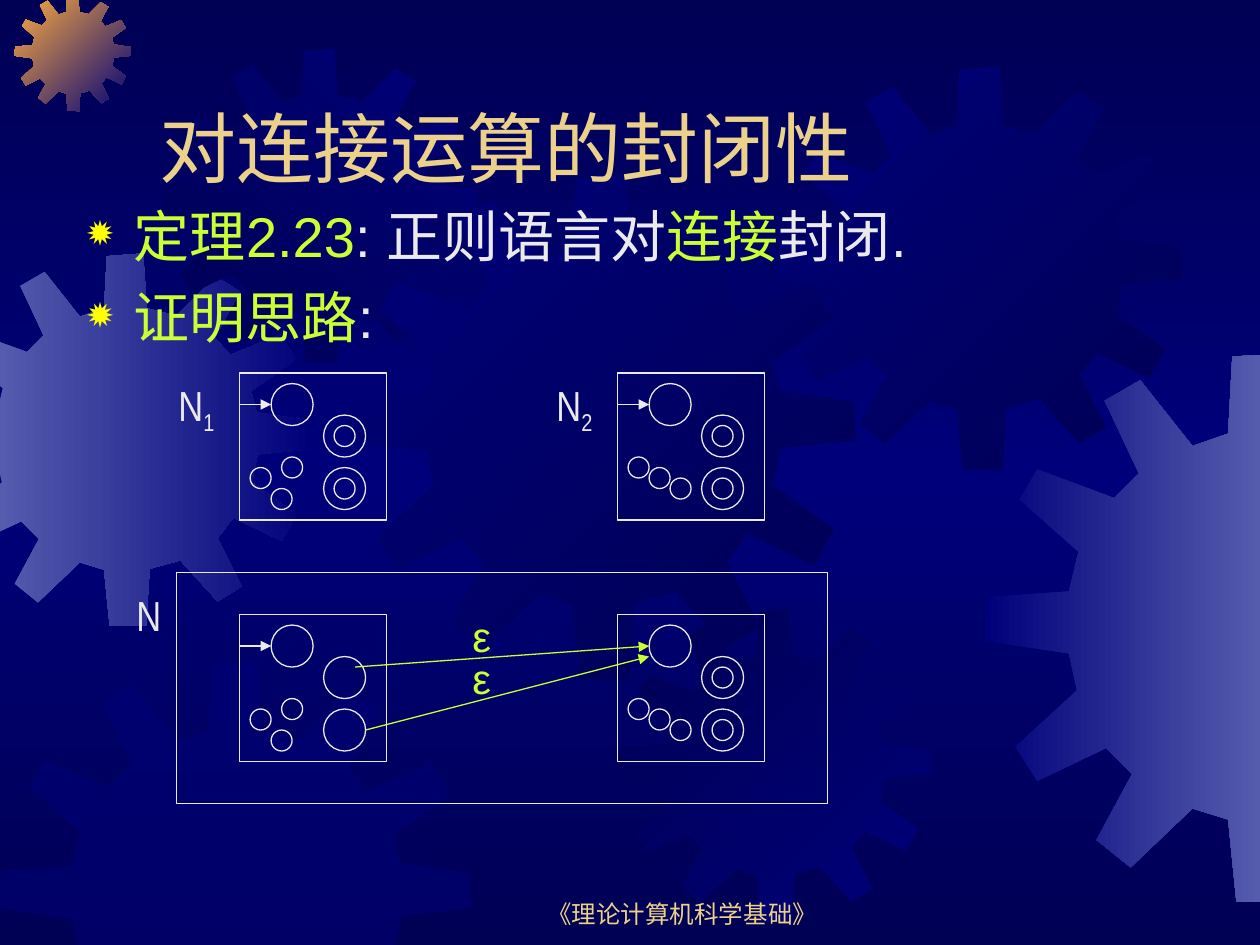
import pptx
import pptx.dml.color
import pptx.enum.shapes
import pptx.enum.text
import pptx.oxml
import pptx.oxml.ns
import pptx.util
import copy
import lxml.etree

Cm = pptx.util.Cm
Pt = pptx.util.Pt
RGBColor = pptx.dml.color.RGBColor
SHAPE = pptx.enum.shapes.MSO_SHAPE
ANCHOR = pptx.enum.text.MSO_ANCHOR
ALIGN = pptx.enum.text.PP_ALIGN
qn = pptx.oxml.ns.qn

NAVY = RGBColor(0x00, 0x00, 0x54)
BLUE = RGBColor(0x00, 0x00, 0x7A)
STEEL = RGBColor(0x55, 0x5B, 0xAD)
ORANGE = RGBColor(0xFC, 0xAB, 0x40)
GOLD = RGBColor(0xEB, 0xD1, 0x89)
LIME = RGBColor(0xCC, 0xFF, 0x33)
PALE = RGBColor(0xEA, 0xEA, 0xEA)

WIDTH, HEIGHT = 25.4, 19.05
GRID = 2.54 / 12
ORIGIN_X, ORIGIN_Y = 4.83, 7.52

GEAR_SIZE = 401
GEAR = [
    (255, 67), (223, 59), (219, 0), (180, 3), (177, 59), (151, 68), (113, 20), (87, 35),
    (112, 88), (94, 106), (38, 85), (25, 107), (68, 145), (61, 174), (1, 178), (0, 210),
    (61, 219), (67, 246), (22, 287), (38, 312), (88, 288), (107, 307), (81, 355), (106, 375),
    (151, 332), (177, 340), (183, 400), (222, 401), (226, 339), (259, 330), (299, 374), (325, 358),
    (299, 306), (316, 284), (368, 309), (384, 281), (336, 246), (342, 216), (401, 210), (400, 180),
    (341, 171), (335, 148), (383, 114), (367, 87), (313, 109), (296, 91), (323, 41), (297, 25),
]


def clip(points, axis, limit, sign):
    kept = []
    for a, b in zip(points, points[1:] + points[:1]):
        da, db = sign * (limit - a[axis]), sign * (limit - b[axis])
        if da >= 0:
            kept.append(a)
        if da * db < 0:
            t = da / (da - db)
            kept.append((a[0] + t * (b[0] - a[0]), a[1] + t * (b[1] - a[1])))
    return kept


def grid_xy(x, y):
    return Cm(ORIGIN_X + x * GRID), Cm(ORIGIN_Y + y * GRID)


class Deck:
    font = "Arial"
    label_font = "Arial Narrow"
    line_width = Pt(0.75)

    def __init__(self):
        self.prs = pptx.Presentation()
        self.prs.slide_width, self.prs.slide_height = Cm(WIDTH), Cm(HEIGHT)
        self.s = self.prs.slides.add_slide(self.prs.slide_layouts[6])

    def gradient(self, fill, start, end, angle):
        fill.gradient()
        fill.gradient_angle = (360 - angle) % 360
        for stop, color in zip(fill.gradient_stops, (start, end)):
            stop.color.rgb = color

    def background(self, edge, middle):
        fill = self.s.background.fill
        self.gradient(fill, edge, edge, 90)
        first = next(self.s.background._cSld.iter(qn("a:gs")))
        first.addnext(copy.deepcopy(first))
        stop = fill.gradient_stops[1]
        stop.position = 0.5
        stop.color.rgb = middle

    def gear(self, x, y, size, start, end=None, angle=0):
        k = size / GEAR_SIZE
        points = [(x + px * k, y + py * k) for px, py in GEAR]
        for axis, limit in enumerate((WIDTH, HEIGHT)):
            points = clip(clip(points, axis, limit, 1), axis, 0, -1)
        points = [(Cm(px), Cm(py)) for px, py in points]
        fb = self.s.shapes.build_freeform(*points[0])
        fb.add_line_segments(points[1:], close=True)
        sp = fb.convert_to_shape()
        sp.shadow.inherit = False
        sp.line.fill.background()
        if end is None:
            sp.fill.solid()
            sp.fill.fore_color.rgb = start
            color = next(sp.fill._xPr.iter(qn("a:srgbClr")))
            lxml.etree.SubElement(color, qn("a:alpha"), val="50000")
        else:
            self.gradient(sp.fill, start, end, angle)

    def outline(self, kind, x, y, w, h):
        sp = self.s.shapes.add_shape(kind, *grid_xy(x, y), Cm(w * GRID), Cm(h * GRID))
        sp.shadow.inherit = False
        sp.fill.background()
        sp.line.color.rgb = PALE
        sp.line.width = self.line_width

    def circle(self, x, y, d):
        self.outline(SHAPE.OVAL, x, y, d, d)

    def arrow(self, x1, y1, x2, y2, color):
        c = self.s.shapes.add_connector(pptx.enum.shapes.MSO_CONNECTOR.STRAIGHT,
                                        *grid_xy(x1, y1), *grid_xy(x2, y2))
        c.line.color.rgb = color
        c.line.width = self.line_width
        lxml.etree.SubElement(c.line._get_or_add_ln(), qn("a:tailEnd"), type="triangle")
        lxml.etree.SubElement(c._element.spPr, qn("a:effectLst"))

    def run(self, p, text, size, color, font=None):
        r = p.add_run()
        r.text = text
        r.font.size = Pt(size)
        r.font.name = font or self.font
        r.font.color.rgb = color
        return r

    def box(self, x, y, w, h, anchor=ANCHOR.TOP):
        tf = self.s.shapes.add_textbox(x, y, w, h).text_frame
        tf.word_wrap = True
        tf.vertical_anchor = anchor
        return tf

    def heading(self, x, y, w, h, text, size, align=ALIGN.LEFT):
        p = self.box(Cm(x), Cm(y), Cm(w), Cm(h), ANCHOR.BOTTOM).paragraphs[0]
        p.alignment = align
        self.run(p, text, size, GOLD)

    def label(self, x, y, text, color, font, sub=""):
        p = self.box(*grid_xy(x, y), Cm(6 * GRID), Cm(6 * GRID)).paragraphs[0]
        self.run(p, text, 24, color, font)
        if sub:
            r = self.run(p, sub, 24, color, font)
            r.font._element.set("baseline", "-25000")

    def bullets(self, x, y, w, h, items):
        tf = self.box(Cm(x), Cm(y), Cm(w), Cm(h))
        for i, parts in enumerate(items):
            p = tf.add_paragraph() if i else tf.paragraphs[0]
            pPr = p._p.get_or_add_pPr()
            pPr.set("marL", str(Cm(0.95)))
            pPr.set("indent", str(Cm(-0.95)))
            color = lxml.etree.SubElement(pPr, qn("a:buClr"))
            lxml.etree.SubElement(color, qn("a:srgbClr"), val="FFFF00")
            lxml.etree.SubElement(pPr, qn("a:buSzPct"), val="80000")
            lxml.etree.SubElement(pPr, qn("a:buChar"), char="✹")
            if i:
                p.space_before = Pt(8)
            for text, color in parts:
                self.run(p, text, 32, color)

    def automaton(self, x, y, states, entry=True, accepting=True):
        self.outline(SHAPE.RECTANGLE, x, y, 14, 14)
        self.circle(x + 3, y + 1, 4)
        for dy in (4, 9):
            self.circle(x + 8, y + dy, 4)
            if accepting:
                self.circle(x + 9, y + dy + 1, 2)
        if entry:
            self.arrow(x, y + 3, x + 3, y + 3, PALE)
        for dx, dy in states:
            self.circle(x + dx, y + dy, 2)


def main():
    d = Deck()
    d.background(NAVY, BLUE)
    d.gear(-1.22, 5.11, 7.52, STEEL, BLUE)
    d.gear(0.3, -0.1, 2.34, ORANGE, BLUE, 45)
    d.gear(3.3, 0.99, 6.3, NAVY, BLUE, 315)
    d.gear(7.04, 3.53, 10.2, BLUE, NAVY, 45)
    d.gear(0, 13.34, 9.5, BLUE)
    d.gear(12.47, 12.29, 6.3, NAVY, BLUE, 45)
    d.gear(15.7, 1.35, 8.13, BLUE, NAVY, 45)
    d.gear(19.86, 7.11, 11.1, BLUE, STEEL)

    d.heading(9.73, 17.58, 8.05, 1.27, "《理论计算机科学基础》", 14, ALIGN.CENTER)
    d.heading(2.97, 0.84, 21.59, 3.18, "对连接运算的封闭性", 44)
    d.bullets(1.5, 3.94, 21.59, 3.38, [
        [("定理2.23", LIME), (": 正则语言对", PALE), ("连接", LIME), ("封闭.", PALE)],
        [("证明思路", LIME), (":", PALE)],
    ])

    left_states = [(4, 8), (1, 9), (3, 11)]
    right_states = [(1, 8), (3, 9), (5, 10)]
    d.automaton(0, 0, left_states)
    d.label(-7, 0, "N", PALE, d.label_font, "1")
    d.automaton(36, 0, right_states)
    d.label(29, 0, "N", PALE, d.label_font, "2")

    d.automaton(0, 23, left_states, accepting=False)
    d.label(-11, 20, "N", PALE, d.label_font)
    d.automaton(36, 23, right_states, entry=False)
    d.outline(SHAPE.RECTANGLE, -6, 19, 62, 22)
    d.arrow(11, 28, 39, 26, LIME)
    d.arrow(12, 34, 39, 27, LIME)
    for y in (22, 26):
        d.label(21, y, "ε", LIME, d.font)
    d.prs.save("out.pptx")


if __name__ == "__main__":
    main()
